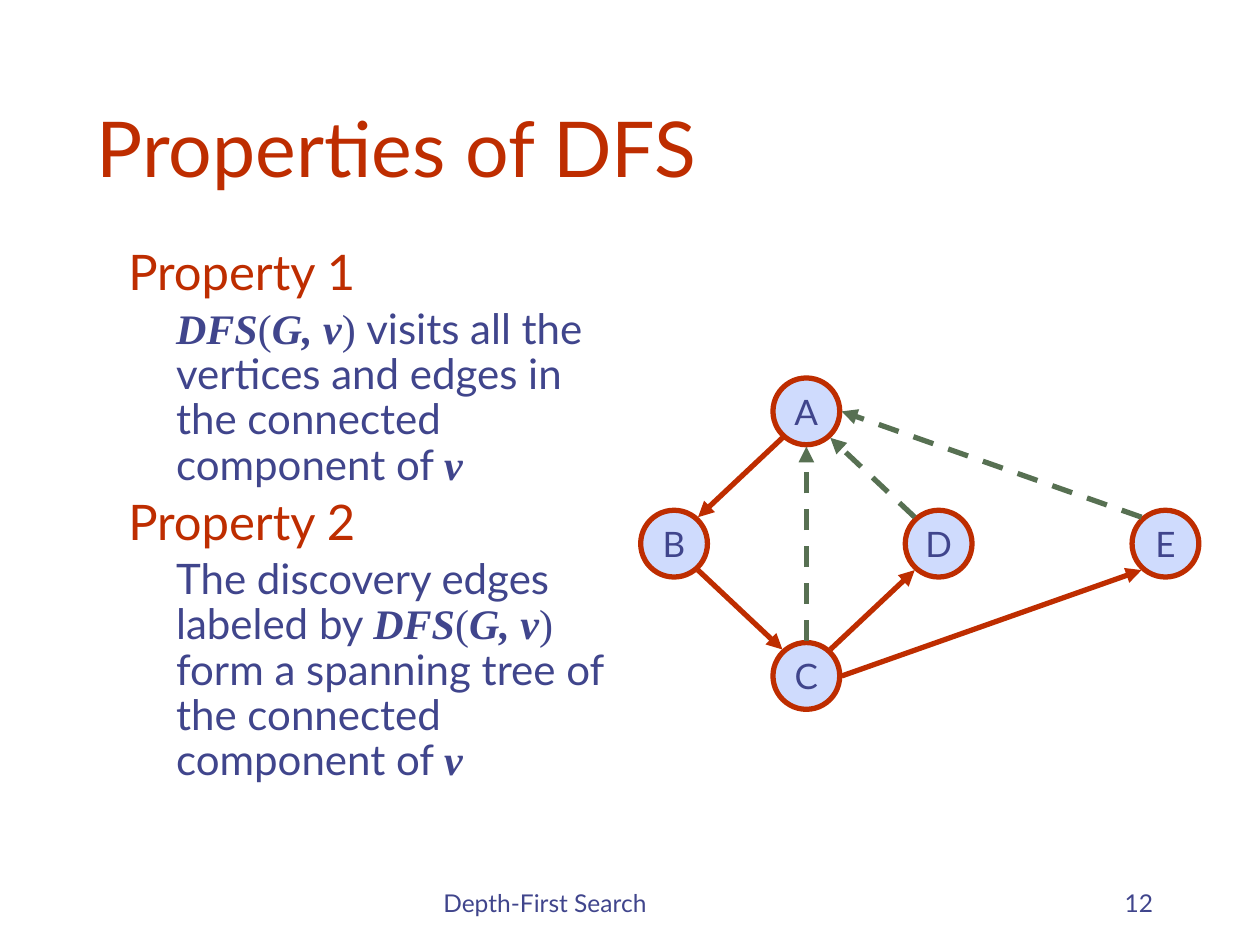
from dataclasses import dataclass

from lxml.etree import SubElement
from pptx import Presentation
from pptx.dml.color import RGBColor
from pptx.enum.dml import MSO_LINE
from pptx.enum.shapes import MSO_CONNECTOR, MSO_SHAPE
from pptx.enum.text import MSO_ANCHOR, PP_ALIGN
from pptx.oxml.ns import qn
from pptx.util import Emu, Pt

SCALE = 9144


def px(count):
    return Emu(int(count * SCALE))


@dataclass(frozen=True)
class Theme:
    ink: str = "40458C"
    red: str = "BE2D00"
    green: str = "577052"
    pale: str = "CFDBFD"
    sans: str = "Lato"
    serif: str = "Times New Roman"
    title: int = 44
    head: int = 28
    body: int = 24
    label: int = 20
    foot: int = 14
    stroke: int = 3


class Painter:
    def __init__(self, slide, theme):
        self.shapes = slide.shapes
        self.theme = theme

    def run(self, para, text, size, color, font=None, strong=False):
        run = para.add_run()
        run.text = text
        run.font.name = font or self.theme.sans
        run.font.size = Pt(size)
        run.font.bold = run.font.italic = strong
        run.font.color.rgb = RGBColor.from_string(color)

    def frame(self, left, top, width, height, anchor):
        box = self.shapes.add_textbox(px(left), px(top), px(width), px(height))
        box.text_frame.word_wrap = True
        box.text_frame.vertical_anchor = anchor
        return box.text_frame

    def line(self, area, text, size, color, align=PP_ALIGN.LEFT):
        para = self.frame(*area, MSO_ANCHOR.BOTTOM).paragraphs[0]
        para.alignment = align
        self.run(para, text, size, color)

    def outline(self, area, groups):
        frame = self.frame(*area, MSO_ANCHOR.TOP)
        theme = self.theme
        for index, (head, parts) in enumerate(groups):
            para = frame.add_paragraph() if index else frame.paragraphs[0]
            para.line_spacing = 0.9
            if index:
                para.space_before = Pt(5)
            self.run(para, head, theme.head, theme.red)
            para = frame.add_paragraph()
            para.line_spacing = 0.9
            para.space_before = Pt(4)
            para._p.get_or_add_pPr().set("marL", str(px(38)))
            for text, font, strong in parts:
                self.run(para, text, theme.body, theme.ink, font, strong)

    def node(self, name, center, size=53):
        theme = self.theme
        left, top = (place - size / 2 for place in center)
        shape = self.shapes.add_shape(
            MSO_SHAPE.OVAL, px(left), px(top), px(size), px(size))
        shape.shadow.inherit = False
        shape.fill.solid()
        shape.fill.fore_color.rgb = RGBColor.from_string(theme.pale)
        shape.line.color.rgb = RGBColor.from_string(theme.red)
        shape.line.width = Pt(theme.stroke)
        frame = shape.text_frame
        frame.word_wrap = False
        frame.vertical_anchor = MSO_ANCHOR.MIDDLE
        frame.paragraphs[0].alignment = PP_ALIGN.CENTER
        self.run(frame.paragraphs[0], name, theme.label, theme.ink)

    def arrow(self, start, end, color, dashed):
        edge = self.shapes.add_connector(
            MSO_CONNECTOR.STRAIGHT, *map(px, start + end))
        edge.line.color.rgb = RGBColor.from_string(color)
        edge.line.width = Pt(self.theme.stroke)
        if dashed:
            edge.line.dash_style = MSO_LINE.DASH
        props = edge._element.spPr
        SubElement(props.find(qn("a:ln")), qn("a:tailEnd"), type="triangle")
        SubElement(props, qn("a:effectLst"))


def port(center, side):
    across, down = side
    reach = (19, 21) if across and down else (28, 28)
    return center[0] + across * reach[0], center[1] + down * reach[1]


def main():
    deck = Presentation()
    deck.slide_width, deck.slide_height = px(1000), px(750)
    theme = Theme()
    paint = Painter(deck.slides.add_slide(deck.slide_layouts[6]), theme)

    paint.line((342, 683, 317, 50), "Depth-First Search", theme.foot, theme.ink)
    paint.line((717, 683, 208, 50), "12", theme.foot, theme.ink, PP_ALIGN.RIGHT)
    paint.line((67, 33, 850, 125), "Properties of DFS", theme.title, theme.red)

    call = [("DFS", theme.serif, True), ("(", theme.serif, False),
            ("G, v", theme.serif, True), (") ", theme.serif, False)]
    vertex = ("v", theme.serif, True)
    visit = "visits all the vertices and edges in the connected component of "
    lead = "The discovery edges labeled by "
    span = "form a spanning tree of the connected component of "
    paint.outline((92, 192, 417, 450), [
        ("Property 1", [*call, (visit, theme.sans, False), vertex]),
        ("Property 2", [(lead, theme.sans, False), *call,
                        (span, theme.sans, False), vertex]),
    ])

    step, left, top = 105, 535, 326.5
    nodes = {
        "A": (left + step, top),
        "B": (left, top + step),
        "C": (left + step, top + 2 * step),
        "D": (left + 2 * step, top + step),
        "E": (925, top + step),
    }
    for name, center in nodes.items():
        paint.node(name, center)

    tree = [("A", (-1, 1), "B", (1, -1)), ("B", (1, 1), "C", (-1, -1)),
            ("C", (1, -1), "D", (-1, 1)), ("C", (1, 0), "E", (-1, 1))]
    back = [("D", (-1, -1), "A", (1, 1)), ("C", (0, -1), "A", (0, 1)),
            ("E", (-1, -1), "A", (1, 0))]
    for edges, color, dashed in ((tree, theme.red, False),
                                 (back, theme.green, True)):
        for tail, out, head, side in edges:
            paint.arrow(port(nodes[tail], out), port(nodes[head], side),
                        color, dashed)

    deck.save("out.pptx")


if __name__ == "__main__":
    main()
